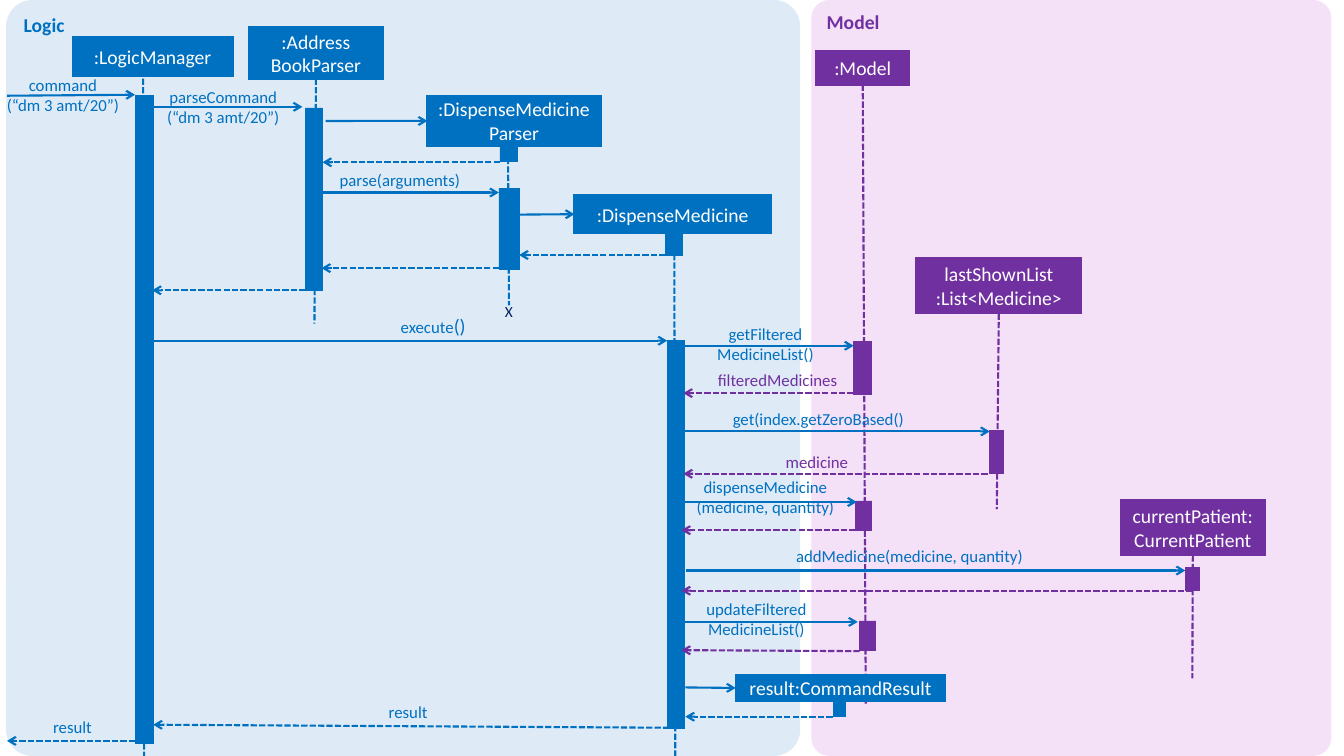
from dataclasses import dataclass
from typing import Any

from pptx import Presentation
from pptx.dml.color import RGBColor
from pptx.enum.dml import MSO_LINE
from pptx.enum.shapes import MSO_CONNECTOR, MSO_SHAPE
from pptx.enum.text import MSO_ANCHOR, PP_ALIGN
from pptx.oxml.ns import qn
from pptx.util import Cm, Pt

COLORS = {"logic": "0070C0", "logic_panel": "DEEBF7", "model": "7030A0",
          "model_panel": "F4E1F7", "white": "FFFFFF", "end": "002060"}
DASH = MSO_LINE.SQUARE_DOT
STRAIGHT = MSO_CONNECTOR.STRAIGHT
RECT, ROUNDED = MSO_SHAPE.RECTANGLE, MSO_SHAPE.ROUNDED_RECTANGLE
TOP, MIDDLE = MSO_ANCHOR.TOP, MSO_ANCHOR.MIDDLE
LEFT, CENTER, RIGHT = PP_ALIGN.LEFT, PP_ALIGN.CENTER, PP_ALIGN.RIGHT
LEFT_SIDE, BOTTOM_SIDE = 1, 2
GRID = 2.54  # centimetres in one grid unit


def rgb(name):
    return RGBColor.from_string(COLORS[name])


def units(value):
    return Cm(value * GRID)


def append_element(parent, tag, **attributes):
    parent.append(parent.makeelement(qn(tag), attributes))


def add_run(paragraph, text, size, color, bold):
    run = paragraph.add_run()
    run.text = text
    run.font.name = "Calibri"
    run.font.size = Pt(size)
    run.font.bold = bold
    run.font.color.rgb = rgb(color)


def write_text(frame, text, size=14, color="white", bold=False, align=CENTER,
               anchor=MIDDLE, margins=(0.1, 0.05), suffix="", suffix_size=14):
    frame.word_wrap = True
    frame.vertical_anchor = anchor
    frame.margin_left = frame.margin_right = units(margins[0])
    frame.margin_top = frame.margin_bottom = units(margins[1])
    for index, line in enumerate(text.split("\n")):
        paragraph = frame.paragraphs[0] if index == 0 else frame.add_paragraph()
        paragraph.alignment = align
        add_run(paragraph, line, size, color, bold)
    if suffix:
        add_run(paragraph, suffix, suffix_size, color, bold)


@dataclass
class Region:
    """A box in grid units; its parts are placed from its top left corner."""
    slide: Any
    left: float
    top: float
    width: float
    height: float
    color: str

    def point(self, x, y):
        return units(self.left + x), units(self.top + y)

    def block(self, box, kind=RECT, fill=None, outline=None):
        x, y, width, height = box
        shape = self.slide.shapes.add_shape(
            kind, *self.point(x, y), units(width), units(height))
        shape.shadow.inherit = False
        shape.fill.solid()
        shape.fill.fore_color.rgb = rgb(fill or self.color)
        if outline:
            shape.line.color.rgb = rgb(self.color)
            shape.line.width = Pt(outline)
            append_element(shape._element.spPr.find(qn("a:ln")), "a:miter", lim="800000")
        else:
            shape.line.fill.background()
        return shape

    def panel(self, title):
        panel = self.block((0, 0, self.width, self.height), ROUNDED,
                           fill=self.color + "_panel")
        panel.adjustments[0] = 0.035
        write_text(panel.text_frame, title, color=self.color, bold=True,
                   align=LEFT, anchor=TOP)

    def participant(self, name, *box):
        head = self.block(box, outline=1.5)
        write_text(head.text_frame, name)
        return head

    def activation(self, *box):
        return self.block(box, outline=0.5)

    def line(self, start, end, dashed=False, arrow=True, color=None):
        """Each end is an (x, y) point or a (shape, side) pair."""
        joins = [not isinstance(place[0], (int, float)) for place in (start, end)]
        first = (0, 0) if joins[0] else start
        last = (0, 0) if joins[1] else end
        connector = self.slide.shapes.add_connector(
            STRAIGHT, *self.point(*first), *self.point(*last))
        if joins[0]:
            connector.begin_connect(*start)
        if joins[1]:
            connector.end_connect(*end)
        connector.line.color.rgb = rgb(color or self.color)
        connector.line.width = Pt(1.5)
        if dashed:
            connector.line.dash_style = DASH
        properties = connector._element.spPr
        if arrow:
            append_element(properties.find(qn("a:ln")), "a:tailEnd", type="arrow")
        append_element(properties, "a:effectLst")

    def lifeline(self, start, end):
        self.line(start, end, dashed=True, arrow=False)

    def reply(self, start, end, color=None):
        self.line(start, end, dashed=True, color=color)

    def label(self, text, x, y, width, height=0.2, size=12, color=None, **style):
        box = self.slide.shapes.add_textbox(
            *self.point(x, y), units(width), units(height))
        write_text(box.text_frame, text, size=size, color=color or self.color,
                   anchor=TOP, margins=(0, 0), **style)


def draw_logic(logic):
    logic.panel("Logic")

    # Lifelines
    address_parser = logic.participant(":Address\nBookParser", 2.41, 0.27, 1.33, 0.51)
    logic.lifeline((1.36, 0.78), (1.37, 7.5))
    logic.lifeline((address_parser, BOTTOM_SIDE), (3.06, 3.21))
    logic.lifeline((4.98, 1.4), (4.99, 3.03))
    logic.lifeline((6.63, 2.27), (6.64, 7.5))

    # Activation bars, behind the participants
    logic.activation(1.28, 0.95, 0.18, 6.42)
    parsing = logic.activation(2.97, 1.07, 0.17, 1.81)
    logic.activation(4.9, 1.3, 0.17, 0.3)
    logic.activation(4.89, 1.87, 0.2, 0.8)
    creation = logic.activation(6.54, 2.31, 0.17, 0.22)
    logic.activation(6.56, 3.38, 0.17, 3.85)

    # Participants
    logic.participant(":LogicManager", 0.66, 0.37, 1.59, 0.38)
    medicine_parser = logic.participant(":DispenseMedicineParser", 4.18, 0.95, 1.72, 0.5)
    dispense_command = logic.participant(":DispenseMedicine", 5.64, 1.94, 1.95, 0.37)

    # Calls and replies
    for start, end in [((0.01, 0.95), (1.28, 0.94)),
                       ((1.45, 1.06), (2.94, 1.06)),
                       ((3.17, 1.2), (medicine_parser, LEFT_SIDE)),
                       ((3.14, 1.91), (4.89, 1.91)),
                       ((4.98, 2.13), (dispense_command, LEFT_SIDE)),
                       ((1.42, 3.38), (6.56, 3.38))]:
        logic.line(start, end)
    for start, end in [((4.9, 1.61), (3.14, 1.61)),
                       ((4.89, 2.66), (3.13, 2.66)),
                       ((parsing, BOTTOM_SIDE), (1.45, 2.88)),
                       ((creation, BOTTOM_SIDE), (5.09, 2.53)),
                       ((6.58, 7.22), (1.46, 7.19)),
                       ((1.28, 7.35), (0.01, 7.35))]:
        logic.reply(start, end)

    # Message labels
    logic.label("command\n(“dm 3 amt/20”)", -0.06, 0.74, 1.25, 0.4)
    logic.label("parseCommand (“dm 3 amt/20”)", 1.55, 0.86, 1.21, 0.4)
    logic.label("parse(arguments)", 3.31, 1.68, 1.44, align=LEFT)
    logic.label("execute", 3.62, 3.11, 0.94, 0.24, align=RIGHT, suffix="()")
    logic.label("X", 4.85, 3.0, 0.28, size=11, color="end")
    logic.label("result", 3.52, 6.96, 0.94)
    logic.label("result", 0.19, 7.11, 0.94)


def draw_model(model):
    model.panel("Model")
    for name, box, lifeline_end in [
            (":Model", (0.05, 0.51, 0.92, 0.33), (0.54, 6.98)),
            ("lastShownList\n:List<Medicine>", (1.04, 2.56, 1.64, 0.55), (1.84, 5.05)),
            ("currentPatient:CurrentPatient", (3.07, 4.96, 1.43, 0.55), (3.78, 6.73))]:
        head = model.participant(name, *box)
        model.lifeline((head, BOTTOM_SIDE), lifeline_end)
    model.activation(0.42, 3.39, 0.18, 0.52)
    model.activation(0.48, 6.16, 0.16, 0.29)
    model.activation(1.77, 4.27, 0.14, 0.43)
    dispensing = model.activation(0.44, 4.97, 0.16, 0.29)
    adding = model.activation(3.71, 5.63, 0.14, 0.23)
    return dispensing, adding


def draw_execution(execution, dispensing, adding):
    # Created result
    execution.activation(1.65, 3.76, 0.12, 0.15)
    result = execution.participant("result:CommandResult", 0.68, 3.5, 2.08, 0.25)
    execution.line((0.18, 3.62), (result, LEFT_SIDE))
    execution.reply((1.64, 3.91), (0.18, 3.91))

    # Calls to the model and its replies
    for x, y, end in [(0.14, 0.23, 1.85), (0.14, 1.08, 3.2), (0.16, 1.78, 1.88),
                      (0.19, 2.46, 5.14), (0.18, 2.97, 1.89)]:
        execution.line((x, y), (end, y))
    for start, end in [((1.85, 0.7), (0.16, 0.7)),
                       ((3.18, 1.5), (0.16, 1.5)),
                       ((dispensing, BOTTOM_SIDE), (0.14, 2.06)),
                       ((adding, BOTTOM_SIDE), (0.14, 2.66)),
                       ((1.91, 3.26), (0.14, 3.25))]:
        execution.reply(start, end, color="model")

    # Message labels
    execution.label("getFiltered\nMedicineList()", 0.4, 0.01, 1.15, 0.4)
    execution.label("filteredMedicines", 0.39, 0.47, 1.41, color="model")
    execution.label("get(index.getZeroBased()", 0.4, 0.86, 2.2)
    execution.label("medicine", 0.78, 1.28, 1.41, color="model")
    execution.label("dispenseMedicine\n(medicine, quantity)", 0.16, 1.53, 1.63, 0.4)
    execution.label("addMedicine(medicine, quantity)", 0.74, 2.21, 3.33)
    execution.label("updateFilteredMedicineList()", 0.35, 2.74, 1.07, 0.4)


def main():
    deck = Presentation()
    deck.slide_width, deck.slide_height = Cm(33.87), Cm(19.05)
    slide = deck.slides.add_slide(deck.slide_layouts[6])
    model_bars = draw_model(Region(slide, 8.05, 0, 5.16, 7.5, "model"))
    draw_logic(Region(slide, 0.06, 0, 7.88, 7.5, "logic"))
    draw_execution(Region(slide, 6.62, 3.2, 5.28, 3.91, "logic"), *model_bars)
    deck.save("out.pptx")


if __name__ == "__main__":
    main()
